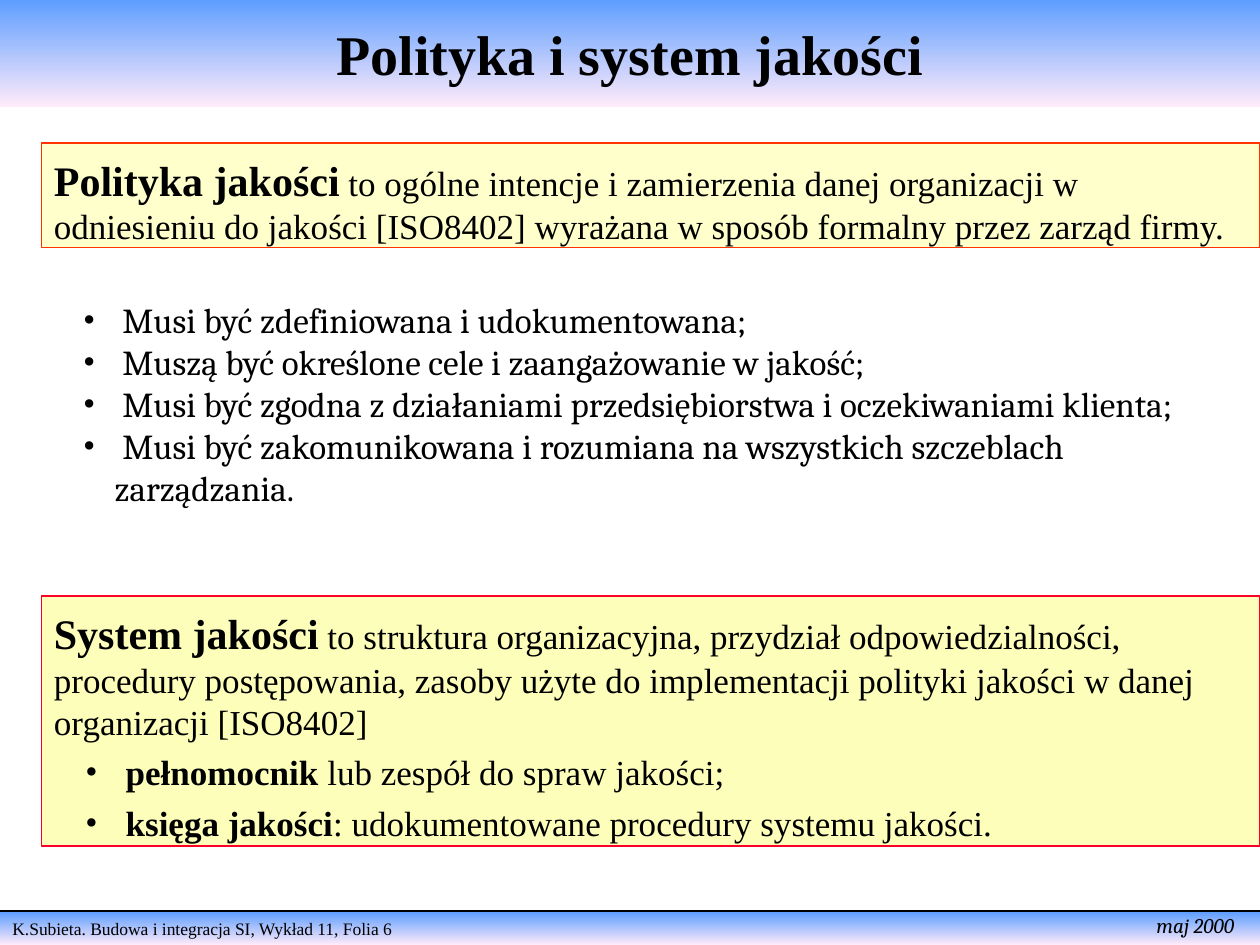
"""Build the slide on quality policy and the quality system."""
from lxml import etree
from pptx import Presentation
from pptx import util as u
from pptx.dml import color
from pptx.enum import shapes, text
from pptx.oxml import ns

WIDTH, HEIGHT = 10, 7.5
THEME = {
    "ink": "000000", "gradient": ("5E9EFF", "FFEBFA"),
    "serif": "Times New Roman", "list": "Cambria",
    "title": 32, "term": 24, "body": 20, "date": 12, "footer": 10,
}
TITLE = "Polityka i system jakości"
FOOTER = "K.Subieta. Budowa i integracja SI, Wykład 11, Folia 6"
DATE = "maj 2000"
REQUIREMENTS = [
    " Musi być zdefiniowana i udokumentowana;",
    " Muszą być określone cele i zaangażowanie w jakość;",
    " Musi być zgodna z działaniami przedsiębiorstwa i oczekiwaniami klienta;",
    " Musi być zakomunikowana i rozumiana na wszystkich szczeblach zarządzania.",
]
PANELS = [
    {"top": 0.151, "height": 0.111, "fill": "FFFFCC", "line": "FF3300",
     "term": "Polityka jakości",
     "definition": " to ogólne intencje i zamierzenia danej organizacji w odniesieniu "
                   "do jakości [ISO8402] wyrażana w sposób formalny przez zarząd firmy.",
     "items": []},
    {"top": 0.631, "height": 0.264, "fill": "FCFEB9", "line": "FC0128",
     "term": "System jakości",
     "definition": " to struktura organizacyjna, przydział odpowiedzialności, procedury "
                   "postępowania, zasoby użyte do implementacji polityki jakości "
                   "w danej organizacji [ISO8402]",
     "items": [("pełnomocnik", " lub zespół do spraw jakości;"),
               ("księga jakości", ": udokumentowane procedury systemu jakości.")]},
]
BANDS = {
    "title": (0, 0, 1, 0.113),
    "list": (0.031, 0.309, 0.969, 0.192),
    "footer": (0, 0.965, 1, 0.035),
    "date": (0.908, 0.959, 0.082, 0.04),
}
PANEL_LEFT, RULE_TOP = 0.033, 0.964
FRAME = {"word_wrap": True, "auto_size": text.MSO_AUTO_SIZE.NONE,
         "vertical_anchor": text.MSO_ANCHOR.TOP}


def assign(target, values):
    for name, value in values.items():
        setattr(target, name, value)


def rgb(value):
    return color.RGBColor.from_string(value)


def area(left, top, width, height):
    return [u.Inches(share * side) for share, side in
            zip((left, top, width, height), (WIDTH, HEIGHT) * 2)]


def place(shape, band):
    assign(shape, dict(zip(("left", "top", "width", "height"), area(*band))))


def fill_gradient(shape):
    shape.fill.gradient()
    shape.fill.gradient_angle = 270
    for stop, value in zip(shape.fill.gradient_stops, THEME["gradient"]):
        stop.color.rgb = rgb(value)


def add_run(paragraph, content, size, font="serif", **style):
    run = paragraph.add_run()
    run.text = content
    assign(run.font, {"size": u.Pt(THEME[size]), "name": THEME[font], **style})
    run.font.color.rgb = rgb(THEME["ink"])


def add_bullet(paragraph):
    paragraph.level = 1
    properties = paragraph._p.get_or_add_pPr()
    properties.set("marL", str(u.Inches(0.5)))
    properties.set("indent", str(u.Inches(-0.25)))
    etree.SubElement(properties, ns.qn("a:buFont")).set("typeface", THEME["serif"])
    etree.SubElement(properties, ns.qn("a:buChar")).set("char", "•")


def next_paragraph(frame, index):
    return frame.add_paragraph() if index else frame.paragraphs[0]


def add_rectangle(slide, band):
    shape = slide.shapes.add_shape(shapes.MSO_SHAPE.RECTANGLE, *area(*band))
    shape.shadow.inherit = False
    assign(shape.text_frame, FRAME)
    shape.text_frame.paragraphs[0].alignment = text.PP_ALIGN.LEFT
    return shape


def add_footer(slide):
    bar = add_rectangle(slide, BANDS["footer"])
    fill_gradient(bar)
    bar.line.fill.background()
    add_run(bar.text_frame.paragraphs[0], FOOTER, "footer")
    ends = [u.Inches(value) for value in (0, RULE_TOP * HEIGHT, WIDTH, RULE_TOP * HEIGHT)]
    rule = slide.shapes.add_connector(shapes.MSO_CONNECTOR.STRAIGHT, *ends)
    rule.line.color.rgb = rgb(THEME["ink"])
    rule.line.width = u.Pt(1)
    etree.SubElement(rule._element.spPr, ns.qn("a:effectLst"))
    date = slide.shapes.add_textbox(*area(*BANDS["date"]))
    date.text_frame.word_wrap = False
    add_run(date.text_frame.paragraphs[0], DATE, "date", "list", italic=True)


def add_title(slide):
    title = slide.shapes.title
    place(title, BANDS["title"])
    fill_gradient(title)
    assign(title.text_frame, {**FRAME, "vertical_anchor": text.MSO_ANCHOR.MIDDLE})
    paragraph = title.text_frame.paragraphs[0]
    paragraph.alignment = text.PP_ALIGN.CENTER
    add_run(paragraph, TITLE, "title", bold=True)


def add_requirements(slide):
    body = slide.placeholders[1]
    place(body, BANDS["list"])
    assign(body.text_frame, FRAME)
    for index, requirement in enumerate(REQUIREMENTS):
        paragraph = next_paragraph(body.text_frame, index)
        paragraph.space_before = u.Pt(0)
        add_bullet(paragraph)
        add_run(paragraph, requirement, "body", "list")


def add_panel(slide, panel):
    shape = add_rectangle(slide, (PANEL_LEFT, panel["top"], 1 - PANEL_LEFT, panel["height"]))
    shape.fill.solid()
    shape.fill.fore_color.rgb = rgb(panel["fill"])
    shape.line.color.rgb = rgb(panel["line"])
    shape.line.width = u.Pt(1)
    frame = shape.text_frame
    frame.margin_top = u.Inches(0.09)
    add_run(frame.paragraphs[0], panel["term"], "term", bold=True)
    add_run(frame.paragraphs[0], panel["definition"], "body")
    for term, explanation in panel["items"]:
        paragraph = frame.add_paragraph()
        assign(paragraph, {"alignment": text.PP_ALIGN.LEFT, "space_before": u.Pt(5)})
        add_bullet(paragraph)
        add_run(paragraph, " " + term, "body", bold=True)
        add_run(paragraph, explanation, "body")


def main():
    presentation = Presentation()
    assign(presentation, {"slide_width": u.Inches(WIDTH), "slide_height": u.Inches(HEIGHT)})
    slide = presentation.slides.add_slide(presentation.slide_layouts[1])
    add_footer(slide)
    add_title(slide)
    add_requirements(slide)
    for panel in PANELS:
        add_panel(slide, panel)
    presentation.save("out.pptx")


if __name__ == "__main__":
    main()
